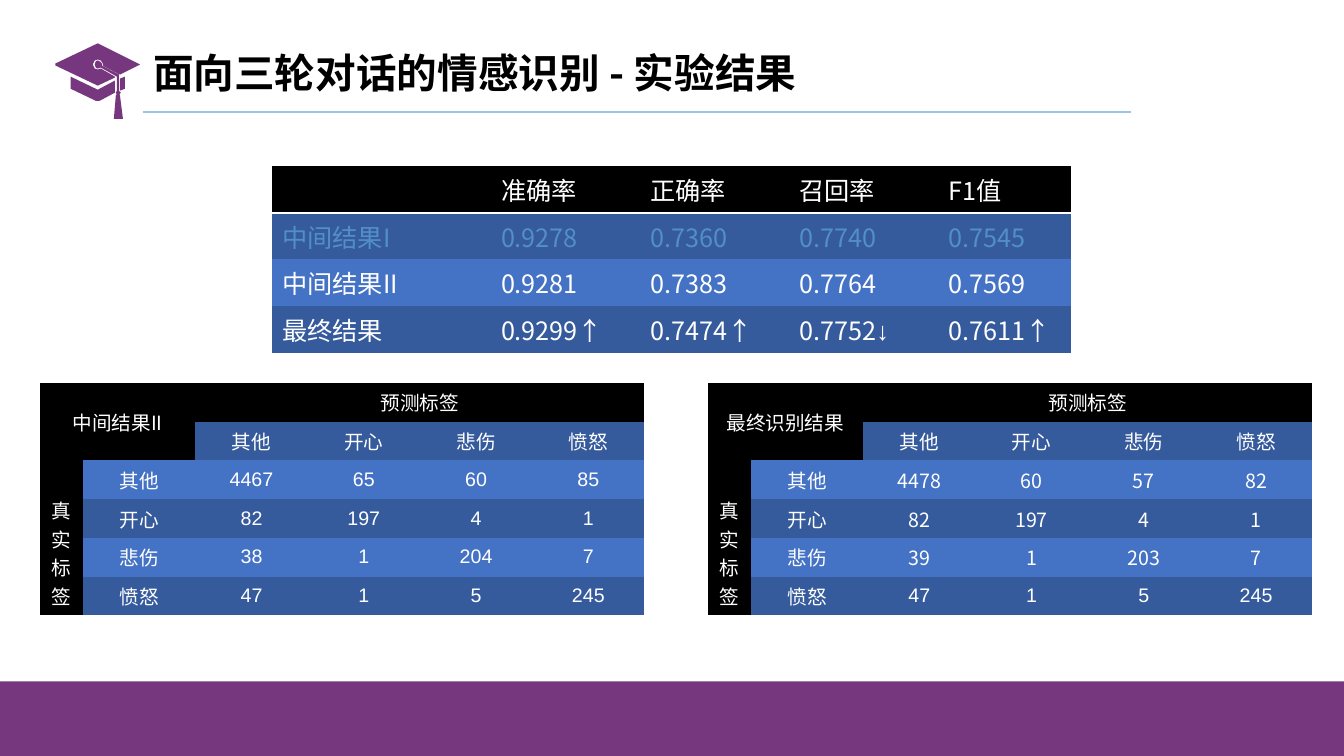
import lxml.etree
import pptx
import pptx.dml.color
import pptx.enum.shapes
import pptx.enum.text
import pptx.oxml.ns
import pptx.util

Pt = pptx.util.Pt
qn = pptx.oxml.ns.qn
ALIGN = pptx.enum.text.PP_ALIGN
ANCHOR = pptx.enum.text.MSO_ANCHOR

COLORS = {
    "black": "000000", "white": "FFFFFF", "purple": "77377E", "rule": "9DC3E6",
    "dark": "365B9D", "light": "4472C4", "muted": "528FC7",
}
RGB = {name: pptx.dml.color.RGBColor.from_string(value) for name, value in COLORS.items()}
CJK = "Noto Sans CJK SC"
NO_TABLE_STYLE = "{2D5ABB26-0587-4C30-8999-92F81FD0307C}"


def add_text(paragraph, text, color, **font_format):
    """Add one run; East Asian glyphs always use the CJK font."""
    run = paragraph.add_run()
    run.text = text
    for name, value in font_format.items():
        setattr(run.font, name, value)
    run.font.color.rgb = RGB[color]
    lxml.etree.SubElement(run._r.get_or_add_rPr(), qn("a:ea"), typeface=CJK)


def add_plain_table(left, top, column_widths, row_count, row_height):
    """Add a table without style, borders or banding."""
    frame = slide.shapes.add_table(row_count, len(column_widths), Pt(left), Pt(top),
                                   Pt(sum(column_widths)), Pt(row_count * row_height))
    table = frame.table
    table.first_row = table.horz_banding = False
    table._tbl.tblPr.find(qn("a:tableStyleId")).text = NO_TABLE_STYLE
    for column, width in zip(table.columns, column_widths):
        column.width = Pt(width)
    return table


presentation = pptx.Presentation()
presentation.slide_width, presentation.slide_height = Pt(960), Pt(540)
slide = presentation.slides.add_slide(presentation.slide_layouts[5])

# Title
title = slide.shapes.title
title_box = {"left": 102.2, "top": 26.6, "width": 750, "height": 54}
for name, value in title_box.items():
    setattr(title, name, Pt(value))
title.text_frame.vertical_anchor = ANCHOR.MIDDLE
paragraph = title.text_frame.paragraphs[0]
paragraph.alignment = ALIGN.LEFT
paragraph.line_spacing = 0.9
add_text(paragraph, "面向三轮对话的情感识别 - 实验结果", "black", size=Pt(29), name=CJK, bold=True)

# Graduation cap, on a grid of 0.72 pt
cap_outlines = [
    [(119, 90), (124, 88), (124, 76), (119, 78)],
    [(70, 76), (70, 88), (95, 100), (99, 100), (114, 92), (114, 80), (97, 89)],
    [(118, 75), (118, 74), (101, 65), (101, 63), (99, 61), (97, 60), (95, 61),
     (94, 64), (95, 67), (97, 68), (100, 67), (116, 76)],
    [(139, 64), (97, 43), (55, 63), (55, 65), (97, 85), (114, 77), (114, 76),
     (100, 68), (97, 69), (94, 68), (92, 64), (94, 60), (97, 59), (100, 60),
     (102, 63), (102, 65), (119, 74)],
    [(118, 75), (118, 90), (120, 92), (118, 94), (119, 94), (122, 118), (113, 118),
     (115, 94), (116, 94), (115, 92), (116, 90), (116, 76)],
]
builder = slide.shapes.build_freeform(*cap_outlines[0][0], scale=Pt(0.72))
for index, outline in enumerate(cap_outlines):
    if index:
        builder.move_to(*outline[0])
    builder.add_line_segments(outline[1:], close=True)
cap = builder.convert_to_shape()

# Rule under the title
rule = slide.shapes.add_connector(pptx.enum.shapes.MSO_CONNECTOR.STRAIGHT,
                                  Pt(102.2), Pt(80.3), Pt(808), Pt(80.3))
rule.line.color.rgb = RGB["rule"]
rule.line.width = Pt(1.5)
lxml.etree.SubElement(rule._element.spPr, qn("a:effectLst"))

# Footer band
band = slide.shapes.add_shape(pptx.enum.shapes.MSO_SHAPE.RECTANGLE,
                              Pt(0), Pt(486.7), Pt(960), Pt(53.3))
for shape in (cap, band):
    shape.shadow.inherit = False
    shape.fill.solid()
    shape.fill.fore_color.rgb = RGB["purple"]
    shape.line.fill.background()

# Score table
scores = [
    ["", "准确率", "正确率", "召回率", "F1值"],
    ["中间结果I", "0.9278", "0.7360", "0.7740", "0.7545"],
    ["中间结果II", "0.9281", "0.7383", "0.7764", "0.7569"],
    ["最终结果", "0.9299↑", "0.7474↑", "0.7752↓", "0.7611↑"],
]
row_styles = [("black", "white"), ("dark", "muted"), ("light", "white"), ("dark", "white")]
table = add_plain_table(194.4, 118.8, [156.3, 106.6, 106.6, 106.6, 94.3], 4, 29.2)
for row, (texts, (fill, color)) in enumerate(zip(scores, row_styles)):
    for column, text in enumerate(texts):
        cell = table.cell(row, column)
        cell.fill.solid()
        cell.fill.fore_color.rgb = RGB[fill]
        paragraph = cell.text_frame.paragraphs[0]
        number, down_arrow, _ = text.partition("↓")
        add_text(paragraph, number, color, size=Pt(18), name=CJK)
        if down_arrow:
            add_text(paragraph, down_arrow, color, size=Pt(18), name="Arial")
        if row == 0:
            border = lxml.etree.Element(qn("a:lnB"), w=str(Pt(2)))
            border_fill = lxml.etree.SubElement(border, qn("a:solidFill"))
            lxml.etree.SubElement(border_fill, qn("a:srgbClr"), val=COLORS["white"])
            cell._tc.get_or_add_tcPr().insert(0, border)

# Confusion matrices: heading, left edge, digit font of the first three rows, counts
labels = ["其他", "开心", "悲伤", "愤怒"]
matrices = [
    ("中间结果II", 28.4, "Arial",
     [[4467, 65, 60, 85], [82, 197, 4, 1], [38, 1, 204, 7], [47, 1, 5, 245]]),
    ("最终识别结果", 505.4, CJK,
     [[4478, 60, 57, 82], [82, 197, 4, 1], [39, 1, 203, 7], [47, 1, 5, 245]]),
]
for heading, left, digit_font, counts in matrices:
    table = add_plain_table(left, 273.6, [31] + [80.2] * 5, 6, 25.3)
    for first, last in (((0, 0), (1, 1)), ((0, 2), (0, 5)), ((2, 0), (5, 0))):
        table.cell(*first).merge(table.cell(*last))
    grid = [[heading, "", "预测标签", "", "", ""], ["", ""] + labels]
    for label, values in zip(labels, counts):
        grid.append(["", label] + [str(value) for value in values])
    grid[2][0] = "真实标签"
    for row, texts in enumerate(grid):
        for column, text in enumerate(texts):
            cell = table.cell(row, column)
            is_header = row == 0 or column == 0 or (row, column) == (1, 1)
            fill = "black" if is_header else "dark" if row % 2 else "light"
            cell.fill.solid()
            cell.fill.fore_color.rgb = RGB[fill]
            cell.vertical_anchor = ANCHOR.MIDDLE
            paragraph = cell.text_frame.paragraphs[0]
            paragraph.alignment = ALIGN.CENTER
            font = CJK
            if text.isdigit():
                font = "Arial" if row == 5 else digit_font
            elif text == labels[0]:
                font = "Arial"
            add_text(paragraph, text, "white", size=Pt(14), name=font)
    side_label = table.cell(2, 0)
    side_label.vertical_anchor = ANCHOR.BOTTOM
    side_label._tc.get_or_add_tcPr().set("vert", "eaVert")

presentation.save("out.pptx")
